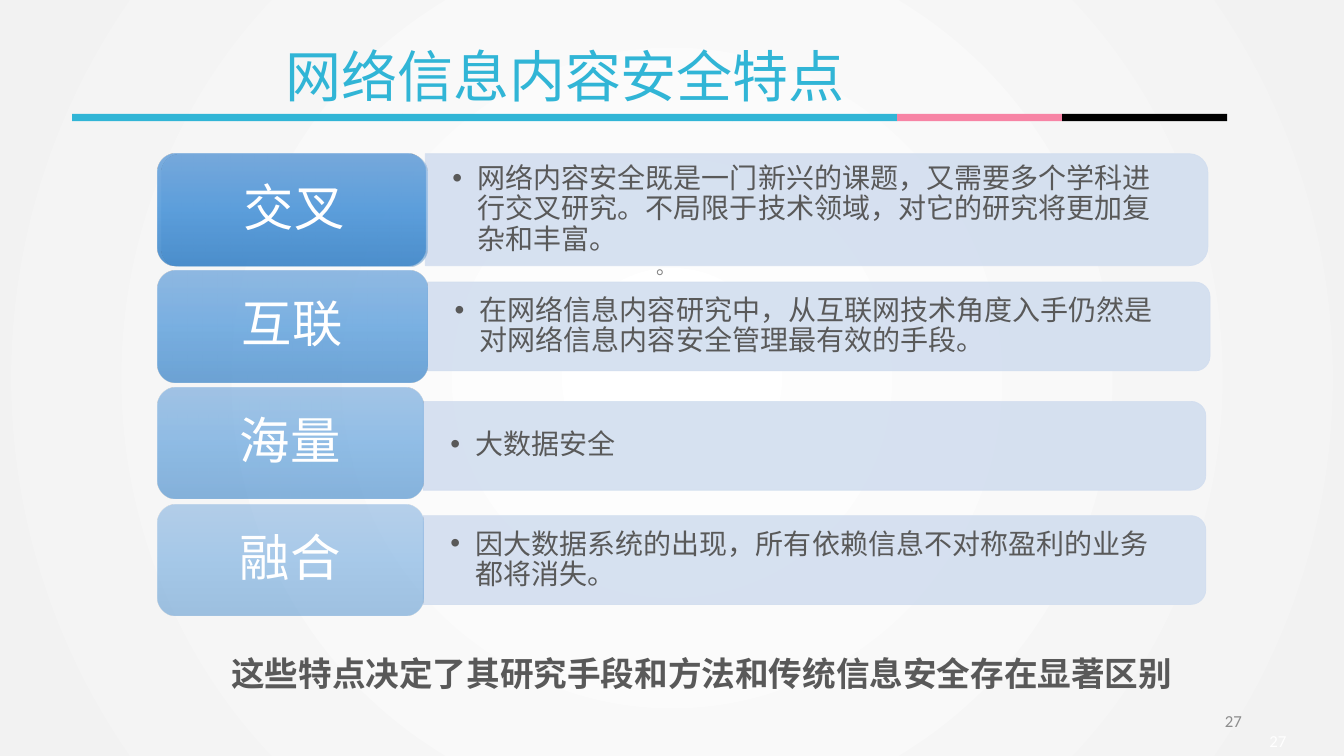
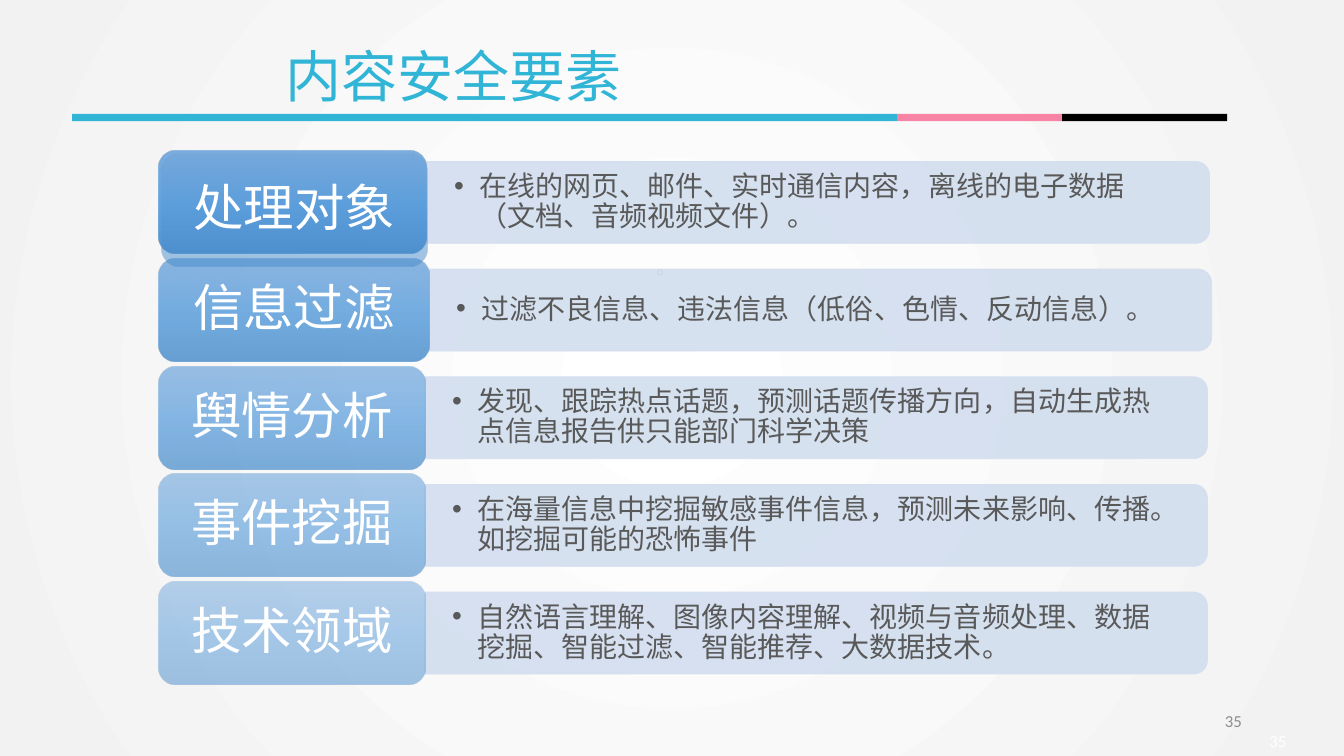
from lxml.etree import SubElement
from pptx import Presentation
from pptx.dml.color import RGBColor
from pptx.enum.shapes import MSO_SHAPE as SHAPE
from pptx.enum.text import MSO_ANCHOR as ANCHOR, PP_ALIGN as ALIGN
from pptx.oxml import parse_xml
from pptx.oxml.ns import nsdecls, qn
from pptx.util import Pt

# Colours and fonts
CYAN = RGBColor(0x31, 0xB5, 0xD6)
PINK = RGBColor(0xF7, 0x84, 0xA5)
BLACK = RGBColor(0, 0, 0)
WHITE = RGBColor(0xFF, 0xFF, 0xFF)
PALE = RGBColor(0xF2, 0xF2, 0xF2)
BAR = RGBColor(0xD2, 0xDE, 0xEF)
DARK = RGBColor(0x59, 0x59, 0x59)
MID = RGBColor(0x7F, 0x7F, 0x7F)
LIGHT = RGBColor(0x8C, 0x8C, 0x8C)
TILE_STOPS = [(0, RGBColor(0x71, 0xA6, 0xDB)), (50, RGBColor(0x55, 0x9B, 0xDB)),
              (100, RGBColor(0x44, 0x8A, 0xCA))]
CJK, LATIN = "Noto Sans CJK SC", "Calibri"

# Text formats
TITLE = dict(name=CJK, size=Pt(40), color=CYAN)
LABEL = dict(name=CJK, size=Pt(36), color=WHITE)
DETAIL = dict(name=CJK, size=Pt(20), color=DARK)
SUMMARY = dict(name=CJK, size=Pt(24), color=DARK, bold=True)
BODY = dict(name=CJK, size=Pt(14), color=MID)
NUMBER = dict(name=LATIN, size=Pt(12), color=LIGHT)
FAINT_NUMBER = dict(NUMBER, color=WHITE)

LEFT = dict(alignment=ALIGN.LEFT)
RIGHT = dict(alignment=ALIGN.RIGHT)
CENTER = dict(alignment=ALIGN.CENTER)
TIGHT = dict(line_spacing=0.9, space_before=Pt(0))

TOP = dict(word_wrap=True, vertical_anchor=ANCHOR.TOP)
MIDDLE = dict(word_wrap=True, vertical_anchor=ANCHOR.MIDDLE)
TILE_FRAME = dict(MIDDLE, margin_left=Pt(10.8), margin_right=Pt(10.8),
                  margin_top=Pt(5.4), margin_bottom=Pt(5.4))
DETAIL_FRAME = dict(MIDDLE, margin_left=Pt(19.4), margin_right=Pt(19.4),
                    margin_top=Pt(9.8), margin_bottom=Pt(9.8))

# Row geometry
BAR_W, DETAIL_W = 559, 556
TILE_WIDTHS = [191.5, 193, 190, 190, 190]

SLIDES = [
    dict(title="网络信息内容安全特点", number="27",
         left=112.3, top=110.1, pitch=83.4, tile_h=79.4, bar_heights=[80, 63.4, 63.4, 63.4],
         shifts=[0, 0, 1.8, 0], alphas=[90, 77, 63, 50],
         summary="这些特点决定了其研究手段和方法和传统信息安全存在显著区别",
         rows=[("交叉", "网络内容安全既是一门新兴的课题，又需要多个学科进行交叉研究。"
                        "不局限于技术领域，对它的研究将更加复杂和丰富。"),
               ("互联", "在网络信息内容研究中，从互联网技术角度入手仍然是"
                        "对网络信息内容安全管理最有效的手段。"),
               ("海量", "大数据安全"),
               ("融合", "因大数据系统的出现，所有依赖信息不对称盈利的业务都将消失。")]),
    dict(title="内容安全要素", number="35",
         left=113.5, top=107.8, pitch=76.9, tile_h=73.6, bar_heights=[58.5] * 5,
         shifts=[0] * 5, alphas=[90, 80, 70, 60, 50], summary=None,
         rows=[("处理对象", "在线的网页、邮件、实时通信内容，离线的电子数据"
                            "（文档、音频视频文件）。"),
               ("信息过滤", "过滤不良信息、违法信息（低俗、色情、反动信息）。"),
               ("舆情分析", "发现、跟踪热点话题，预测话题传播方向，"
                            "自动生成热点信息报告供只能部门科学决策"),
               ("事件挖掘", "在海量信息中挖掘敏感事件信息，预测未来影响、传播。"
                            "如挖掘可能的恐怖事件"),
               ("技术领域", "自然语言理解、图像内容理解、视频与音频处理、数据挖掘、"
                            "智能过滤、智能推荐、大数据技术。")]),
]


def write(sp, text, font, para, frame):
    """Put one formatted paragraph into a shape and return it."""
    tf = sp.text_frame
    for key, value in frame.items():
        setattr(tf, key, value)
    p = tf.paragraphs[0]
    for key, value in para.items():
        setattr(p, key, value)
    r = p.add_run()
    r.text = text
    for key, value in font.items():
        if key == "color":
            r.font.color.rgb = value
        else:
            setattr(r.font, key, value)
    SubElement(r.font._element, qn("a:ea"), typeface=font["name"])
    return p


def set_gradient(props, stops, direction, alpha=100):
    """Replace the solid fill of a property element by a gradient."""
    gs = "".join(f'<a:gs pos="{pos * 1000}"><a:srgbClr val="{rgb}">'
                 f'<a:alpha val="{alpha * 1000}"/></a:srgbClr></a:gs>' for pos, rgb in stops)
    grad = parse_xml(f'<a:gradFill {nsdecls("a")} rotWithShape="1">'
                     f'<a:gsLst>{gs}</a:gsLst>{direction}</a:gradFill>')
    props.replace(props.find(qn("a:solidFill")), grad)


prs = Presentation()
prs.slide_width, prs.slide_height = Pt(960), Pt(540)

# Shared background
master = prs.slide_master
master.background.fill.solid()
master.background.fill.fore_color.rgb = WHITE
set_gradient(next(master._element.iter(qn("p:bgPr"))), [(0, WHITE), (100, PALE)],
             '<a:path path="circle"><a:fillToRect l="50000" t="50000" r="50000" b="50000"/></a:path>')

for data in SLIDES:
    s = prs.slides.add_slide(prs.slide_layouts[1])
    shapes = s.shapes

    # Title and body placeholders
    title, body = s.placeholders
    title.left, title.top, title.width, title.height = Pt(196.6), Pt(26), Pt(420), Pt(55.7)
    write(title, data["title"], TITLE, LEFT, TOP)
    body.left, body.top, body.width, body.height = Pt(462), Pt(180.7), Pt(369.4), Pt(305.3)
    p = write(body, "。", BODY, TIGHT, TOP)
    pPr = p._p.get_or_add_pPr()
    pPr.set("marL", "0")
    pPr.set("indent", "0")
    SubElement(pPr, qn("a:buNone"))

    # Colour strip under the title
    seg_w = 117.84
    for i, color in enumerate([CYAN] * 5 + [PINK, BLACK]):
        seg = shapes.add_shape(SHAPE.RECTANGLE, Pt(51.6 + i * seg_w), Pt(81.4), Pt(seg_w), Pt(5.2))
        seg.shadow.inherit = False
        seg.fill.solid()
        seg.fill.fore_color.rgb = color
        seg.line.fill.background()

    # Rows: bar, bulleted detail, label tile
    tiles = []
    tile_h = data["tile_h"]
    for i, (label, detail) in enumerate(data["rows"]):
        tile_y = data["top"] + i * data["pitch"]
        tile_w, bar_h = TILE_WIDTHS[i], data["bar_heights"][i]
        bar_x = data["left"] + tile_w
        mid_y = tile_y + tile_h / 2 + data["shifts"][i]

        # The upright bar is turned so that its round corners face right
        bar = shapes.add_shape(SHAPE.ROUND_2_SAME_RECTANGLE, Pt(bar_x + (BAR_W - bar_h) / 2),
                               Pt(mid_y - BAR_W / 2), Pt(bar_h), Pt(BAR_W))
        bar.rotation = 90
        bar.shadow.inherit = False
        bar.fill.solid()
        bar.fill.fore_color.rgb = BAR
        bar.line.color.rgb = BAR
        bar.line.width = Pt(0.5)
        for clr in bar._element.spPr.iter(qn("a:srgbClr")):
            SubElement(clr, qn("a:alpha"), val="90000")

        box = shapes.add_textbox(Pt(bar_x), Pt(mid_y - bar_h / 2 + 3), Pt(DETAIL_W), Pt(bar_h - 6))
        p = write(box, detail, DETAIL, TIGHT, DETAIL_FRAME)
        pPr = p._p.get_or_add_pPr()
        pPr.set("marL", str(Pt(18)))
        pPr.set("indent", str(Pt(-18)))
        SubElement(pPr, qn("a:buFont"), typeface="Arial")
        SubElement(pPr, qn("a:buChar"), char="•")

        tile = shapes.add_shape(SHAPE.ROUNDED_RECTANGLE, Pt(data["left"]), Pt(tile_y),
                                Pt(tile_w), Pt(tile_h))
        tiles.append((tile, data["alphas"][i], label if i else None))

    # The first label sits on a second tile in front
    front = shapes.add_shape(SHAPE.ROUNDED_RECTANGLE, Pt(115.2), Pt(110.2), Pt(190), Pt(79.9))
    tiles.append((front, 50, data["rows"][0][0]))
    for tile, alpha, label in tiles:
        tile.shadow.inherit = False
        tile.fill.solid()
        set_gradient(tile._element.spPr, TILE_STOPS, '<a:lin ang="5400000" scaled="0"/>', alpha)
        tile.line.fill.background()
        if label:
            write(tile, label, LABEL, dict(TIGHT, **CENTER), TILE_FRAME)

    # Summary line
    if data["summary"]:
        box = shapes.add_textbox(Pt(57), Pt(463), Pt(888.5), Pt(36))
        write(box, data["summary"], SUMMARY, CENTER, TOP)

    # Slide numbers
    for x, y, font in [(678.2, 504.3, NUMBER), (710, 518.6, FAINT_NUMBER)]:
        box = shapes.add_textbox(Pt(x), Pt(y), Pt(216), Pt(21))
        write(box, data["number"], font, RIGHT, MIDDLE)

prs.save("out.pptx")
